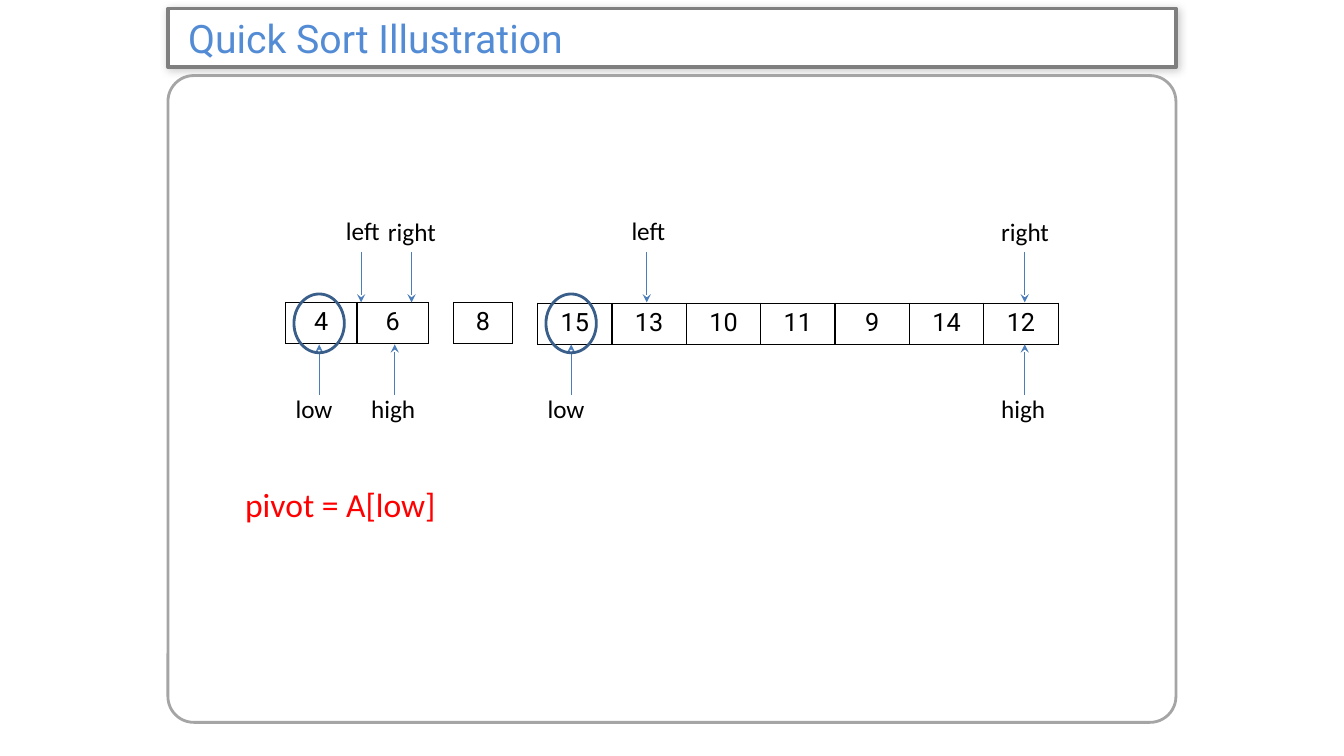
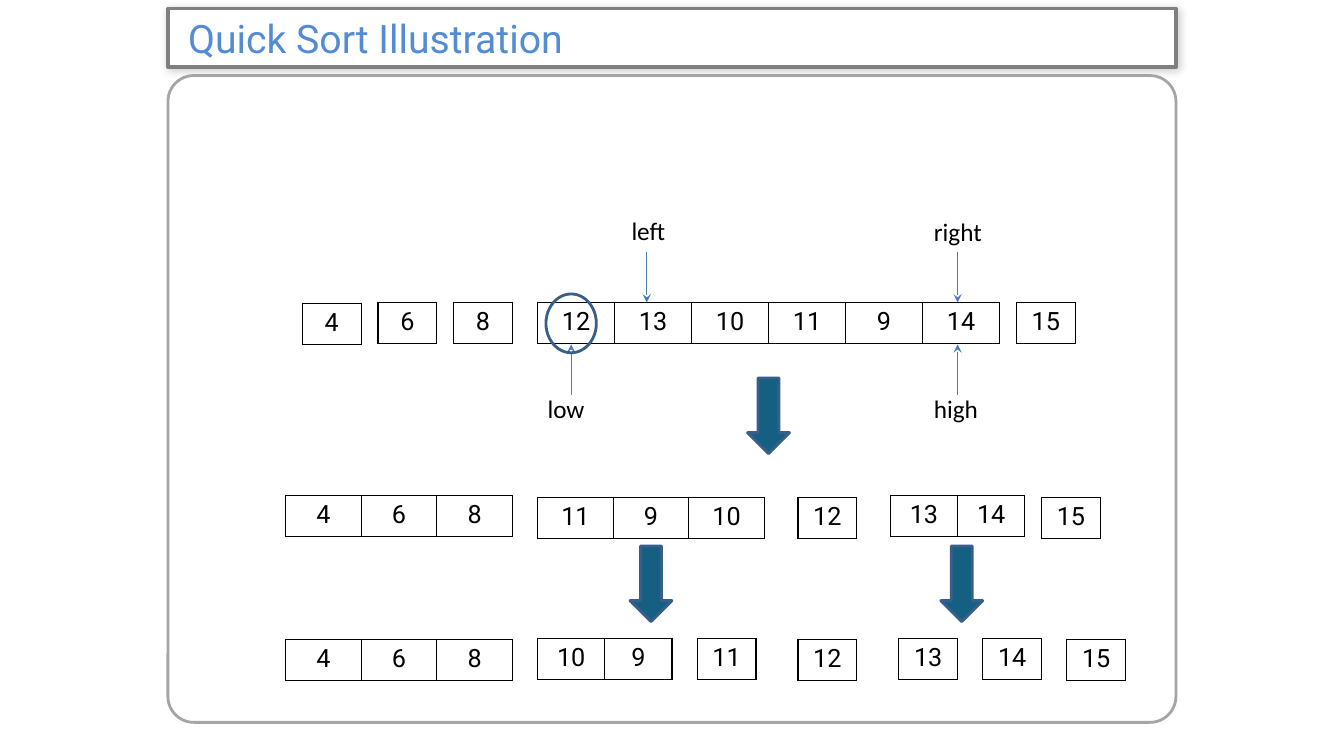
from lxml import etree
from pptx import Presentation
from pptx.dml.color import RGBColor
from pptx.enum.shapes import MSO_CONNECTOR, MSO_SHAPE
from pptx.enum.text import MSO_ANCHOR, MSO_AUTO_SIZE, PP_ALIGN
from pptx.oxml import parse_xml
from pptx.oxml.ns import nsdecls, qn
from pptx.util import Pt

PX = 7620
STRAIGHT = MSO_CONNECTOR.STRAIGHT
ROUND, OVAL, DOWN = MSO_SHAPE.ROUNDED_RECTANGLE, MSO_SHAPE.OVAL, MSO_SHAPE.DOWN_ARROW
LEFT, CENTER = PP_ALIGN.LEFT, PP_ALIGN.CENTER
MIDDLE = MSO_ANCHOR.MIDDLE
FIXED, GROW = MSO_AUTO_SIZE.NONE, MSO_AUTO_SIZE.SHAPE_TO_FIT_TEXT

COLORS = {
    "title": "538CD5", "bar": "7F7F7F", "panel": "A5A5A5", "white": "FFFFFF",
    "black": "000000", "red": "FF0000", "line": "4A7DBA", "ring": "395E89",
    "teal": "156082",
}
HEAD, BODY = "Roboto", "Calibri"
CELL, TALL = 70, 49
MARKS = {
    "left": (30, 250, 300, 360),
    "right": (40, 252, 300, 360),
    "low": (40, 462, 470, 410),
    "high": (40, 462, 470, 410),
}


def px(*sizes):
    return [size * PX for size in sizes]


def rgb(name):
    return RGBColor.from_string(COLORS[name])


class Deck:
    def __init__(self):
        self.prs = Presentation()
        self.prs.slide_width, self.prs.slide_height = px(1600, 900)
        self.slide = None

    def page(self, text):
        self.slide = self.prs.slides.add_slide(self.prs.slide_layouts[5])
        self.title(text)
        panel = self.shape(ROUND, (200, 90, 1200, 770), "panel")
        panel.adjustments[0] = 0.04

    def title(self, text):
        bar = self.slide.shapes.title
        bar.left, bar.top, bar.width, bar.height = px(200, 10, 1200, 70)
        props = bar.element.spPr
        props.append(parse_xml(
            f'<a:prstGeom {nsdecls("a")} prst="roundRect"><a:avLst>'
            '<a:gd name="adj" fmla="val 40900"/></a:avLst></a:prstGeom>'))
        self.paint(bar, "bar", 2.5, "white")
        props.find(qn("a:effectLst")).append(parse_xml(
            f'<a:outerShdw {nsdecls("a")} blurRad="76200" dist="12700" '
            'dir="2700000" algn="tl" rotWithShape="0"><a:srgbClr '
            f'val="{COLORS["black"]}"><a:alpha val="20000"/></a:srgbClr>'
            '</a:outerShdw>'))
        frame = bar.text_frame
        frame.auto_size = FIXED
        frame.vertical_anchor = MIDDLE
        frame.margin_left, frame.margin_right = px(24, 12)
        frame.margin_top = frame.margin_bottom = 0
        self.run(frame, text, 28, HEAD, "title", LEFT)

    def paint(self, shape, line, width, fill=None):
        shape.shadow.inherit = False
        if fill:
            shape.fill.solid()
            shape.fill.fore_color.rgb = rgb(fill)
        else:
            shape.fill.background()
        shape.line.color.rgb = rgb(line)
        shape.line.width = Pt(width)

    def shape(self, kind, box, line, fill=None):
        shape = self.slide.shapes.add_shape(kind, *px(*box))
        self.paint(shape, line, 2, fill)
        return shape

    def run(self, frame, text, size, face, color, align):
        para = frame.paragraphs[0]
        para.alignment = align
        run = para.add_run()
        run.text = text
        run.font.size = Pt(size)
        run.font.name = face
        run.font.color.rgb = rgb(color)

    def text(self, text, box, size=18, color="black"):
        frame = self.slide.shapes.add_textbox(*px(*box)).text_frame
        frame.word_wrap = True
        frame.auto_size = GROW
        self.run(frame, text, size, BODY, color, LEFT)

    def mark(self, word, x):
        shift, top, start, end = MARKS[word]
        line = self.slide.shapes.add_connector(STRAIGHT, *px(x, start, x, end))
        line.line.color.rgb = rgb("line")
        line.line.width = Pt(0.75)
        props = line.element.spPr
        etree.SubElement(props.find(qn("a:ln")), qn("a:tailEnd"), type="stealth")
        etree.SubElement(props, qn("a:effectLst"))
        self.text(word, (x - shift, top, 90, 48))

    def ring(self, x):
        self.shape(OVAL, (x - 30, 350, 60, 70), "ring")

    def arrow(self, left, top):
        self.shape(DOWN, (left, top, 50, 90), "ring", "teal")

    def row(self, left, top, values, width=CELL):
        count = len(values)
        table = self.slide.shapes.add_table(
            1, count, *px(left, top, width, TALL)).table
        table.first_row = table.horz_banding = False
        for index, value in enumerate(values):
            table.columns[index].width = width * PX // count
            cell = table.cell(0, index)
            self.edge(cell)
            cell.fill.background()
            self.run(cell.text_frame, str(value), 18, HEAD, "black", CENTER)

    def edge(self, cell):
        props = cell._tc.get_or_add_tcPr()
        for side in "LRTB":
            props.append(parse_xml(
                f'<a:ln{side} {nsdecls("a")} w="12700"><a:solidFill>'
                f'<a:srgbClr val="{COLORS["black"]}"/></a:solidFill></a:ln{side}>'))


def main():
    deck = Deck()
    title = "Quick Sort Illustration"

    deck.page(title)
    deck.row(340, 360, [4, 6], 170)
    deck.row(540, 360, [8])
    deck.row(640, 361, [15, 13, 10, 11, 9, 14, 12], 620)
    for low, left, right, high in ((380, 430, 490, 470), (680, 770, 1220, 1220)):
        deck.mark("low", low)
        deck.mark("left", left)
        deck.mark("right", right)
        deck.mark("high", high)
        deck.ring(low)
    deck.text("pivot = A[low]", (280, 570, 320, 60), 24, "red")

    deck.page(title)
    for left, top, value in (
        (360, 361, 4), (450, 360, 6), (540, 360, 8), (1210, 360, 15),
        (950, 592, 12), (1240, 592, 15),
        (830, 760, 11), (950, 761, 12), (1070, 760, 13), (1170, 760, 14),
        (1270, 761, 15),
    ):
        deck.row(left, top, [value])
    deck.row(640, 360, [12, 13, 10, 11, 9, 14], 550)
    for top in (590, 761):
        deck.row(340, top, [4, 6, 8], 270)
    deck.row(640, 592, [11, 9, 10], 270)
    deck.row(1060, 590, [13, 14], 160)
    deck.row(640, 760, [10, 9], 160)
    for word, x in (("left", 770), ("right", 1140), ("low", 680), ("high", 1140)):
        deck.mark(word, x)
    deck.ring(680)
    for left, top in ((890, 450), (750, 650), (1120, 650)):
        deck.arrow(left, top)

    deck.prs.save("out.pptx")


if __name__ == "__main__":
    main()
